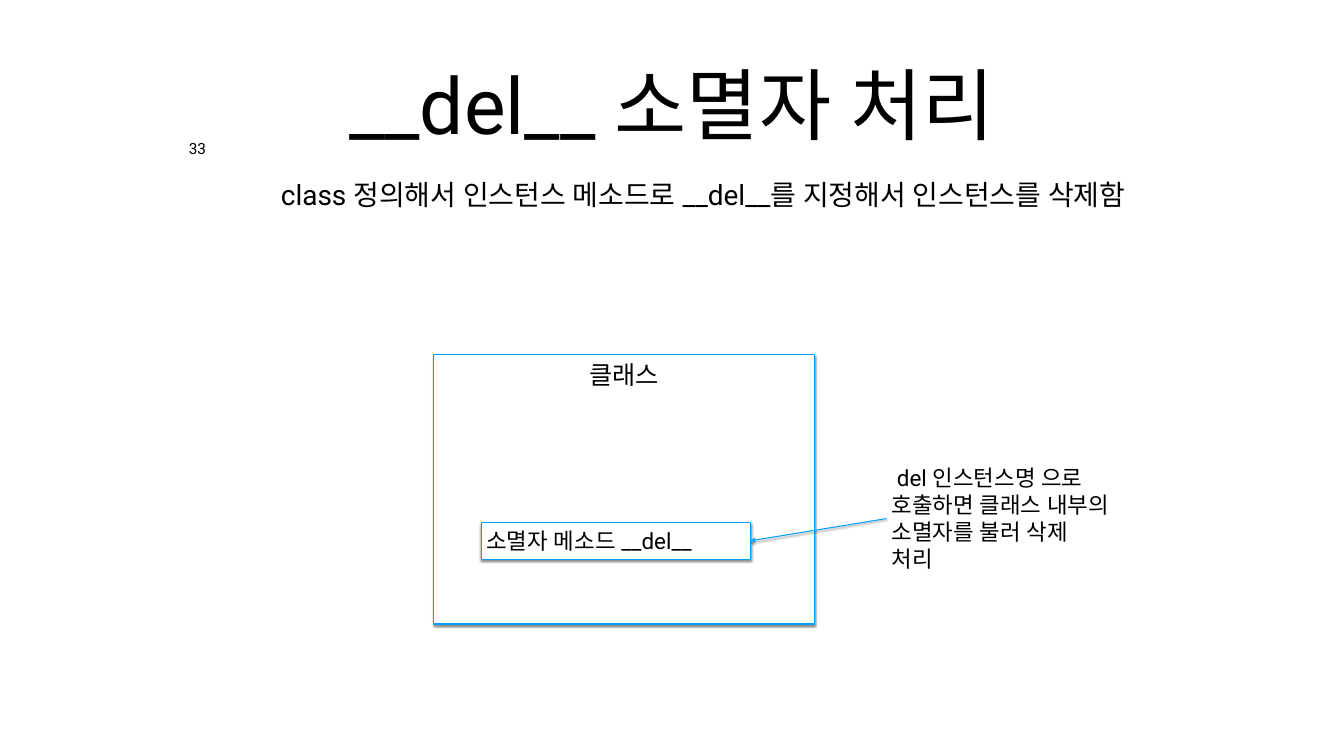
from dataclasses import dataclass

from lxml.etree import SubElement
from pptx import Presentation
from pptx.dml.color import RGBColor
from pptx.enum.shapes import MSO_CONNECTOR, MSO_SHAPE
from pptx.enum.text import MSO_ANCHOR, MSO_AUTO_SIZE, PP_ALIGN
from pptx.oxml.ns import qn
from pptx.util import Cm, Pt

COLORS = {"text": "000000", "fill": "FFFFFF", "line": "00A2FF", "shadow": "000000"}
FONT = "Roboto"


@dataclass(frozen=True)
class Box:
    left: float
    top: float
    width: float
    height: float
    text: str
    size: int
    align: PP_ALIGN = PP_ALIGN.LEFT
    anchor: MSO_ANCHOR = MSO_ANCHOR.TOP
    inset: float = 0.25
    wrap: bool = True

    @property
    def frame(self) -> tuple:
        return Cm(self.left), Cm(self.top), Cm(self.width), Cm(self.height)


TITLE = Box(12.19, 0.99, 43.36, 8.43, " __del__ 소멸자 처리 ", 112,
            PP_ALIGN.CENTER, MSO_ANCHOR.MIDDLE, 0.2)
BODY = Box(11.07, 8.76, 52.86, 8.69,
           " class 정의해서 인스턴스 메소드로 __del__를 지정해서 인스턴스를 삭제함", 40, inset=0.2)
NUMBER = Box(9.32, 6.99, 1.27, 1.14, "33", 22, PP_ALIGN.CENTER, inset=0.2, wrap=False)
NOTE = Box(44.68, 23.14, 11.61, 5.99,
           " del 인스턴스명 으로 호출하면 클래스 내부의 소멸자를 불러 삭제 처리", 32)
CLASS = Box(21.87, 17.86, 19.2, 13.59, "클래스", 36, PP_ALIGN.CENTER)
METHOD = Box(24.26, 26.31, 13.59, 1.88, "소멸자 메소드 __del__", 32, anchor=MSO_ANCHOR.MIDDLE)


def rgb(name: str) -> RGBColor:
    return RGBColor.from_string(COLORS[name])


def write(sp, box: Box):
    tf = sp.text_frame
    tf.text = box.text
    tf.auto_size = MSO_AUTO_SIZE.NONE
    tf.word_wrap = box.wrap
    tf.vertical_anchor = box.anchor
    tf.margin_left = tf.margin_right = tf.margin_top = tf.margin_bottom = Cm(box.inset)
    p = tf.paragraphs[0]
    p.alignment = box.align
    font = p.runs[0].font
    font.size = Pt(box.size)
    font.name = FONT
    font.color.rgb = rgb("text")
    SubElement(p.runs[0].font._element, qn("a:ea"), typeface=FONT)
    return p


def outline(sp) -> None:
    sp.line.color.rgb = rgb("line")
    sp.line.width = Pt(1.5)


def add_shadow(sp) -> None:
    spPr = sp._element.spPr
    effects = spPr.find(qn("a:effectLst"))
    if effects is None:
        effects = SubElement(spPr, qn("a:effectLst"))
    shadow = SubElement(effects, qn("a:outerShdw"), blurRad=str(Pt(3)), dist=str(Pt(2.4)),
                        dir=str(90 * 60000), rotWithShape="0")
    color = SubElement(shadow, qn("a:srgbClr"), val=COLORS["shadow"])
    SubElement(color, qn("a:alpha"), val="45000")


def fill_placeholder(sp, box: Box):
    sp.left, sp.top, sp.width, sp.height = box.frame
    return write(sp, box)


def add_label(s, box: Box):
    return write(s.shapes.add_textbox(*box.frame), box)


def add_panel(s, box: Box) -> None:
    sp = s.shapes.add_shape(MSO_SHAPE.RECTANGLE, *box.frame)
    sp.shadow.inherit = False
    sp.fill.solid()
    sp.fill.fore_color.rgb = rgb("fill")
    outline(sp)
    add_shadow(sp)
    write(sp, box)


def add_arrow(s, x1: float, y1: float, x2: float, y2: float) -> None:
    sp = s.shapes.add_connector(MSO_CONNECTOR.STRAIGHT, Cm(x1), Cm(y1), Cm(x2), Cm(y2))
    outline(sp)
    SubElement(sp.line._get_or_add_ln(), qn("a:tailEnd"), type="arrow")
    add_shadow(sp)


def main() -> None:
    prs = Presentation()
    prs.slide_width, prs.slide_height = Cm(67.74), Cm(38.1)
    s = prs.slides.add_slide(prs.slide_layouts[1])

    fill_placeholder(s.shapes.title, TITLE)
    p = fill_placeholder(s.placeholders[1], BODY)
    p.level = 1
    p.space_before = Pt(10)
    pPr = p._p.get_or_add_pPr()
    pPr.set("marL", "0")
    pPr.set("indent", str(Cm(2.54)))
    SubElement(pPr, qn("a:buNone"))

    add_label(s, NUMBER).line_spacing = 0.8
    for box in (CLASS, METHOD):
        add_panel(s, box)
    add_label(s, NOTE)
    add_arrow(s, NOTE.left, NOTE.top + NOTE.height / 2,
              METHOD.left + METHOD.width, METHOD.top + METHOD.height / 2)
    prs.save("out.pptx")


if __name__ == "__main__":
    main()
